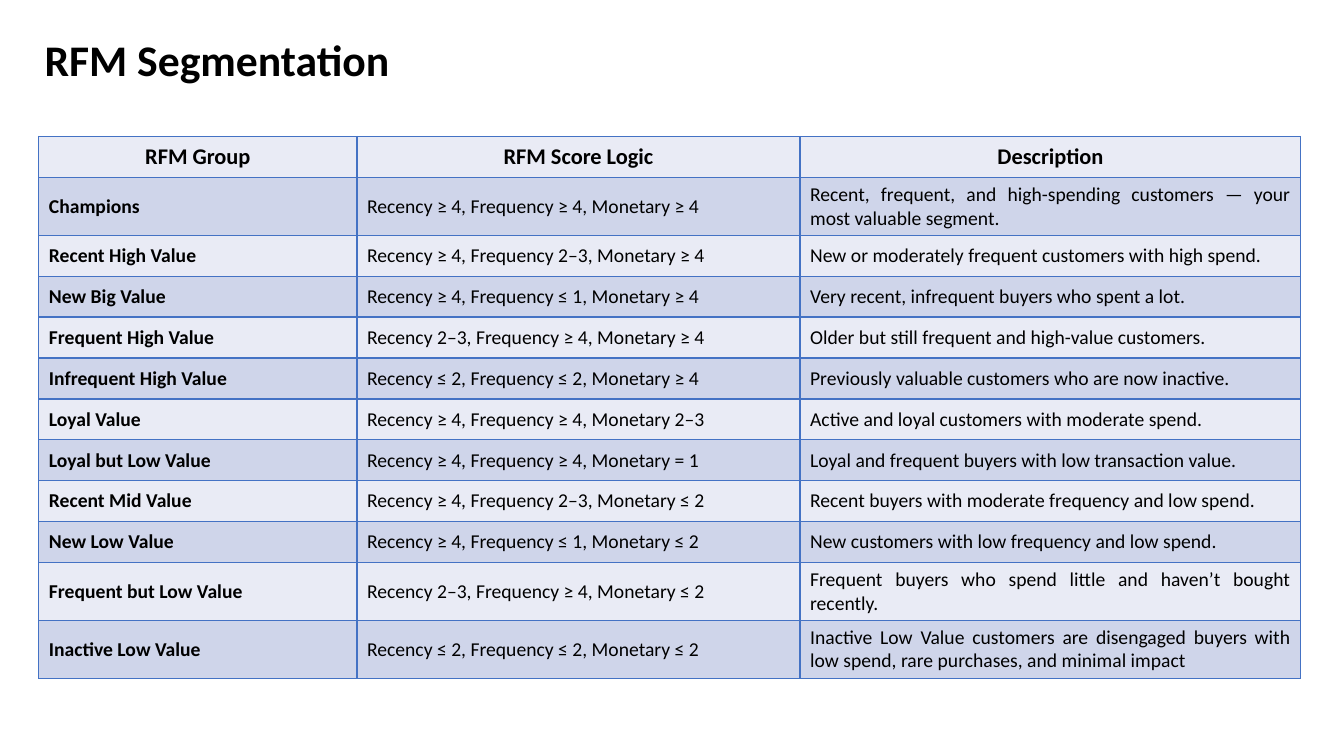
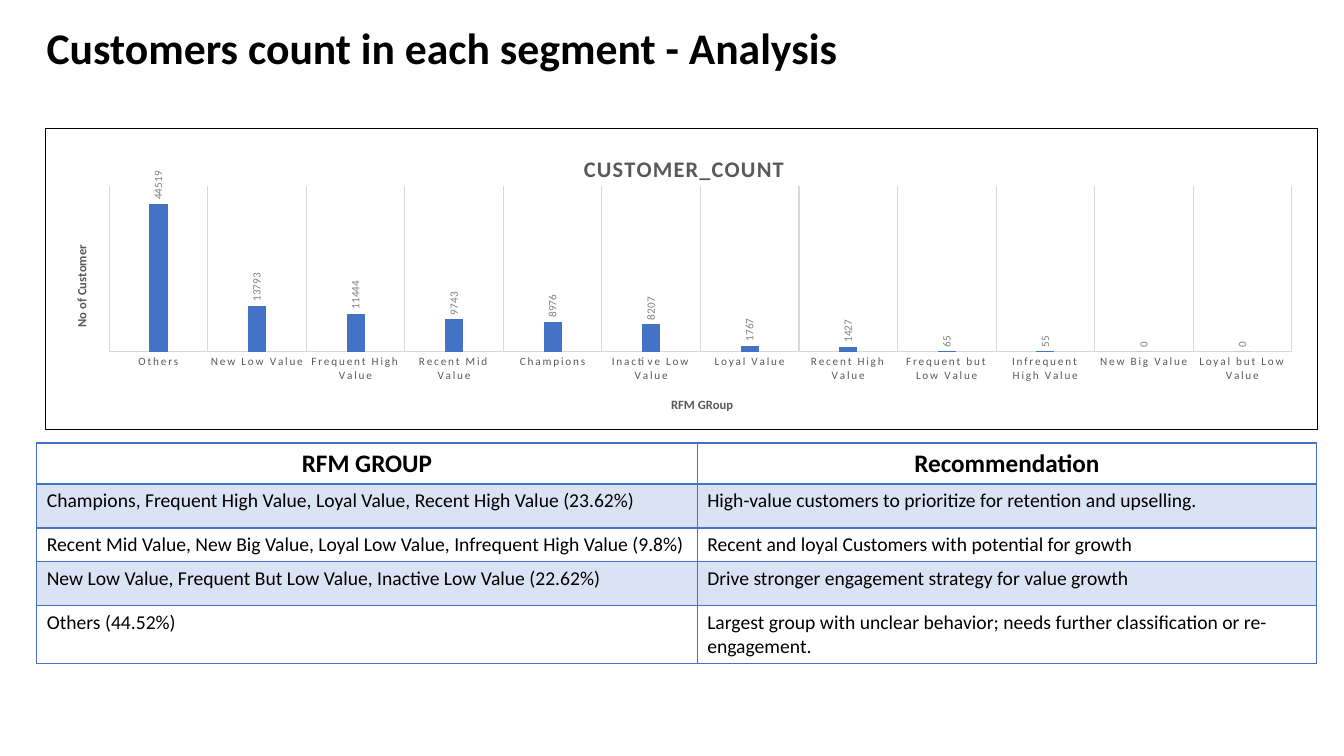
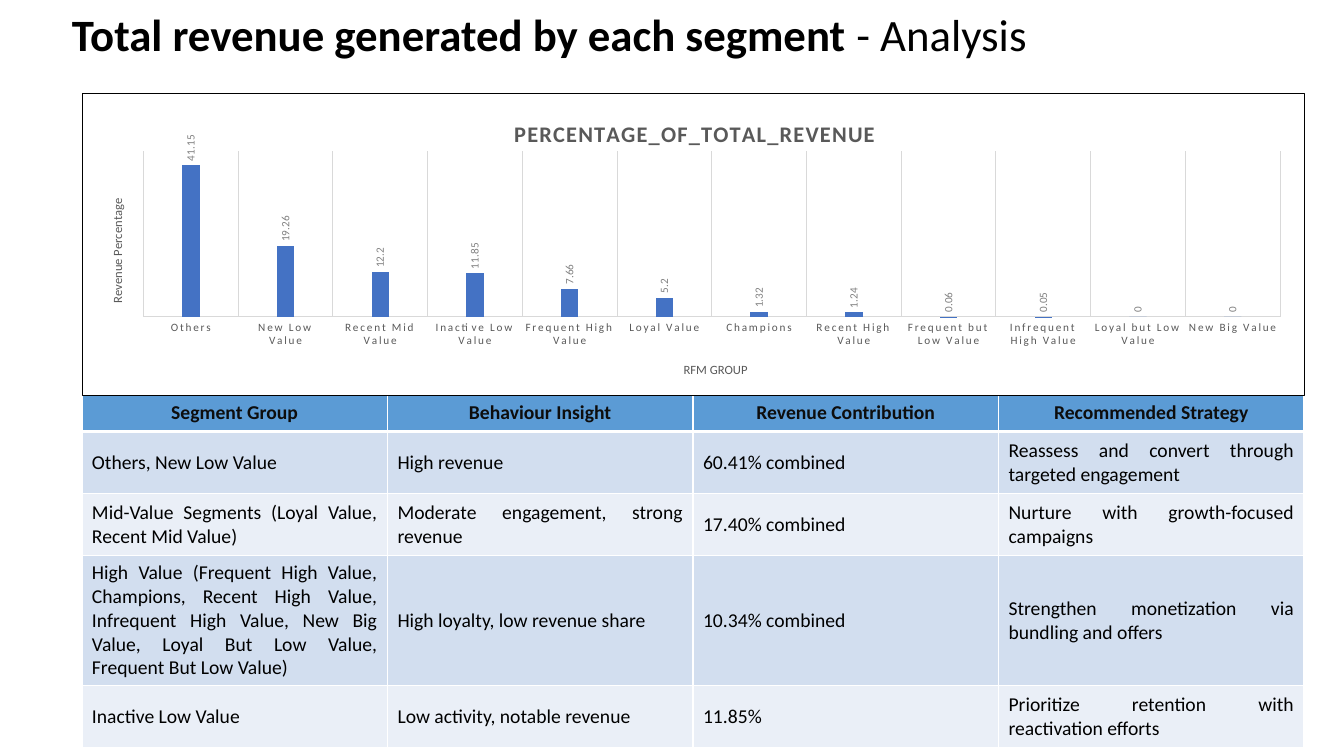
from pptx import Presentation
from pptx.chart.data import CategoryChartData
from pptx.dml.color import RGBColor
from pptx.enum.chart import XL_CHART_TYPE, XL_LABEL_POSITION, XL_TICK_MARK
from pptx.enum.text import MSO_ANCHOR, PP_ALIGN
from pptx.oxml import parse_xml
from pptx.oxml.ns import nsdecls, qn
from pptx.util import Pt

PX = 9525
FONT = "Calibri"
COLUMNS = XL_CHART_TYPE.COLUMN_CLUSTERED
OUTSIDE = XL_LABEL_POSITION.OUTSIDE_END
NO_TICK = XL_TICK_MARK.NONE
TOP, MIDDLE = MSO_ANCHOR.TOP, MSO_ANCHOR.MIDDLE
LEFT, CENTER, JUSTIFY = PP_ALIGN.LEFT, PP_ALIGN.CENTER, PP_ALIGN.JUSTIFY

BLACK = RGBColor(0x00, 0x00, 0x00)
INK = RGBColor(0x0D, 0x0D, 0x0D)
WHITE = RGBColor(0xFF, 0xFF, 0xFF)
BLUE = RGBColor(0x44, 0x72, 0xC4)
SKY = RGBColor(0x5B, 0x9B, 0xD5)
PALE_BLUE = RGBColor(0xDA, 0xE3, 0xF3)
LAVENDER = RGBColor(0xCF, 0xD5, 0xEA)
LIGHT_LAVENDER = RGBColor(0xE9, 0xEB, 0xF5)
MIST = RGBColor(0xD2, 0xDE, 0xEF)
LIGHT_MIST = RGBColor(0xEA, 0xEF, 0xF7)
DARK_GREY = RGBColor(0x59, 0x59, 0x59)
MID_GREY = RGBColor(0x80, 0x80, 0x80)
LIGHT_GREY = RGBColor(0xD9, 0xD9, 0xD9)

PAGES = [
    {
        "title": [("RFM Segmentation", True)],
        "title_at": (33, 29, 1081, 60), "title_size": 31.2,
        "title_spacing": 0.9, "title_anchor": MIDDLE,
        "table": {
            "at": (37, 130), "widths": [303, 422, 477],
            "heights": [39, 55] + [39] * 8 + [55, 55],
            "head_size": 16, "head_color": BLACK, "head_fill": LIGHT_LAVENDER,
            "bands": [LAVENDER, LIGHT_LAVENDER], "border": BLUE, "head_rule": 1,
            "anchor": MIDDLE, "align": JUSTIFY, "bold_columns": 1,
            "rows": [
                ["RFM Group", "RFM Score Logic", "Description"],
                ["Champions", "Recency ≥ 4, Frequency ≥ 4, Monetary ≥ 4",
                 "Recent, frequent, and high-spending customers — your most valuable segment."],
                ["Recent High Value", "Recency ≥ 4, Frequency 2–3, Monetary ≥ 4",
                 "New or moderately frequent customers with high spend."],
                ["New Big Value", "Recency ≥ 4, Frequency ≤ 1, Monetary ≥ 4",
                 "Very recent, infrequent buyers who spent a lot."],
                ["Frequent High Value", "Recency 2–3, Frequency ≥ 4, Monetary ≥ 4",
                 "Older but still frequent and high-value customers."],
                ["Infrequent High Value", "Recency ≤ 2, Frequency ≤ 2, Monetary ≥ 4",
                 "Previously valuable customers who are now inactive."],
                ["Loyal Value", "Recency ≥ 4, Frequency ≥ 4, Monetary 2–3",
                 "Active and loyal customers with moderate spend."],
                ["Loyal but Low Value", "Recency ≥ 4, Frequency ≥ 4, Monetary = 1",
                 "Loyal and frequent buyers with low transaction value."],
                ["Recent Mid Value", "Recency ≥ 4, Frequency 2–3, Monetary ≤ 2",
                 "Recent buyers with moderate frequency and low spend."],
                ["New Low Value", "Recency ≥ 4, Frequency ≤ 1, Monetary ≤ 2",
                 "New customers with low frequency and low spend."],
                ["Frequent but Low Value", "Recency 2–3, Frequency ≥ 4, Monetary ≤ 2",
                 "Frequent buyers who spend little and haven’t bought recently."],
                ["Inactive Low Value", "Recency ≤ 2, Frequency ≤ 2, Monetary ≤ 2",
                 "Inactive Low Value customers are disengaged buyers with low spend, "
                 "rare purchases, and minimal impact"],
            ],
        },
    },
    {
        "title": [("Customers count in each segment - Analysis", True)],
        "title_at": (35, 15, 1104, 65), "title_size": 31.2,
        "title_spacing": 0.9, "title_anchor": MIDDLE,
        "table": {
            "at": (35, 422), "widths": [629, 590], "heights": [39, 42, 32, 42, 55],
            "head_size": 18, "head_color": BLACK, "head_fill": WHITE,
            "bands": [PALE_BLUE, WHITE], "border": BLUE, "head_rule": 2,
            "anchor": TOP, "align": LEFT, "bold_columns": 0,
            "rows": [
                ["RFM GROUP", "Recommendation"],
                ["Champions, Frequent High Value, Loyal Value, Recent High Value (23.62%)",
                 "High-value customers to prioritize for retention and upselling."],
                ["Recent Mid Value, New Big Value, Loyal Low Value, Infrequent High Value (9.8%)",
                 "Recent and loyal Customers with potential for growth"],
                ["New Low Value, Frequent But Low Value, Inactive Low Value (22.62%)",
                 "Drive stronger engagement strategy for value growth"],
                ["Others (44.52%)",
                 "Largest group with unclear behavior; needs further classification or re-engagement."],
            ],
        },
        "chart": {
            "at": (43, 122, 1212, 288), "series": "CUSTOMER_COUNT", "maximum": 50000,
            "title": ("CUSTOMER_COUNT", 0.42), "axis_bold": True,
            "category_title": "RFM GRoup", "value_title": ("No of Customer", 0.38),
            "data": [
                ("Others", 44519), ("New Low Value", 13793), ("Frequent High Value", 11444),
                ("Recent Mid Value", 9743), ("Champions", 8976), ("Inactive Low Value", 8207),
                ("Loyal Value", 1767), ("Recent High Value", 1427),
                ("Frequent but Low Value", 65), ("Infrequent High Value", 55),
                ("New Big Value", 0), ("Loyal but Low Value", 0),
            ],
        },
    },
    {
        "title": [("Total revenue generated by each segment", True), (" - Analysis", False)],
        "title_at": (59, 2, 1010, 61), "title_size": 32,
        "title_spacing": 1.0, "title_anchor": TOP,
        "table": {
            "at": (78, 376), "widths": [291] * 4, "heights": [35, 59, 59, 124, 59],
            "head_size": 14, "head_color": INK, "head_fill": SKY,
            "bands": [MIST, LIGHT_MIST], "border": WHITE, "head_rule": 3,
            "anchor": MIDDLE, "align": JUSTIFY, "bold_columns": 0,
            "rows": [
                ["Segment Group", "Behaviour Insight", "Revenue Contribution",
                 "Recommended Strategy"],
                ["Others, New Low Value", "High revenue", "60.41% combined",
                 "Reassess and convert through targeted engagement"],
                ["Mid-Value Segments (Loyal Value, Recent Mid Value)",
                 "Moderate engagement, strong revenue", "17.40% combined",
                 "Nurture with growth-focused campaigns"],
                ["High Value (Frequent High Value, Champions, Recent High Value, "
                 "Infrequent High Value, New Big Value, Loyal But Low Value, "
                 "Frequent But Low Value)",
                 "High loyalty, low revenue share", "10.34% combined",
                 "Strengthen monetization via bundling and offers"],
                ["Inactive Low Value", "Low activity, notable revenue", "11.85%",
                 "Prioritize retention with reactivation efforts"],
            ],
        },
        "chart": {
            "at": (78, 89, 1165, 288), "series": "Series 1", "maximum": 45,
            "title": ("PERCENTAGE_OF_TOTAL_REVENUE", 0.35), "axis_bold": False,
            "category_title": "RFM GROUP", "value_title": ("Revenue Percentage", 0.34),
            "data": [
                ("Others", 41.15), ("New Low Value", 19.26), ("Recent Mid Value", 12.2),
                ("Inactive Low Value", 11.85), ("Frequent High Value", 7.66),
                ("Loyal Value", 5.2), ("Champions", 1.32), ("Recent High Value", 1.24),
                ("Frequent but Low Value", 0.06), ("Infrequent High Value", 0.05),
                ("Loyal but Low Value", 0), ("New Big Value", 0),
            ],
        },
    },
]


def add_span(para, text, size, color, bold):
    span = para.add_run()
    span.text = text
    span.font.name = FONT
    span.font.size = Pt(size)
    span.font.bold = bold
    span.font.color.rgb = color
    return span


def set_layout(element, index, target, **sizes):
    for old in element.findall(qn("c:layout")):
        element.remove(old)
    inner = f'<c:layoutTarget val="{target}"/>' if target else ""
    modes = '<c:xMode val="edge"/><c:yMode val="edge"/>'
    values = "".join(f'<c:{key} val="{value}"/>' for key, value in sizes.items())
    element.insert(index, parse_xml(
        f'<c:layout {nsdecls("c")}><c:manualLayout>{inner}{modes}{values}'
        '</c:manualLayout></c:layout>'))


deck = Presentation()
deck.slide_width = 1280 * PX
deck.slide_height = 720 * PX

for content in PAGES:
    page = deck.slides.add_slide(deck.slide_layouts[6])

    look = content["table"]
    rows, widths, heights = look["rows"], look["widths"], look["heights"]
    left, top = look["at"]
    frame = page.shapes.add_table(
        len(rows), len(widths), left * PX, top * PX, sum(widths) * PX, sum(heights) * PX)
    table = frame.table
    table.first_row = False
    table.horz_banding = False
    for column, width in zip(table.columns, widths):
        column.width = width * PX
    for row, height in zip(table.rows, heights):
        row.height = height * PX
    for r, texts in enumerate(rows):
        head = r == 0
        for c, text in enumerate(texts):
            cell = table.cell(r, c)
            cell.vertical_anchor = look["anchor"]
            cell.fill.solid()
            cell.fill.fore_color.rgb = look["head_fill"] if head else look["bands"][(r - 1) % 2]
            para = cell.text_frame.paragraphs[0]
            para.alignment = CENTER if head else look["align"]
            add_span(para, text, look["head_size"] if head else 14,
                     look["head_color"] if head else BLACK, head or c < look["bold_columns"])
            rules = {"lnL": 1, "lnR": 1, "lnT": look["head_rule"] if r == 1 else 1,
                     "lnB": look["head_rule"] if head else 1}
            properties = cell._tc.get_or_add_tcPr()
            for i, (side, weight) in enumerate(rules.items()):
                properties.insert(i, parse_xml(
                    f'<a:{side} {nsdecls("a")} w="{Pt(weight)}"><a:solidFill>'
                    f'<a:srgbClr val="{look["border"]}"/></a:solidFill></a:{side}>'))

    box = page.shapes.add_textbox(*(value * PX for value in content["title_at"]))
    box.text_frame.word_wrap = True
    box.text_frame.vertical_anchor = content["title_anchor"]
    para = box.text_frame.paragraphs[0]
    para.line_spacing = content["title_spacing"]
    for text, bold in content["title"]:
        add_span(para, text, content["title_size"], BLACK, bold)

    if "chart" not in content:
        continue
    look = content["chart"]
    data = CategoryChartData()
    data.categories = [name for name, _ in look["data"]]
    data.add_series(look["series"], [value for _, value in look["data"]])
    chart = page.shapes.add_chart(COLUMNS, *(value * PX for value in look["at"]), data).chart
    chart.font.name = FONT
    chart.font.size = Pt(10)
    chart.font.color.rgb = BLACK
    chart.has_legend = False
    chart.element.find(qn("c:chart")).addnext(parse_xml(
        f'<c:spPr {nsdecls("c", "a")}><a:solidFill><a:srgbClr val="{WHITE}"/></a:solidFill>'
        f'<a:ln w="{Pt(0.75)}"><a:solidFill><a:srgbClr val="{BLACK}"/></a:solidFill></a:ln>'
        '</c:spPr>'))
    set_layout(chart.element.find(".//" + qn("c:plotArea")), 0, "inner",
               x=0.05, y=0.19, w=0.93, h=0.55)

    chart.has_title = True
    text, title_left = look["title"]
    span = add_span(chart.chart_title.text_frame.paragraphs[0], text, 16, DARK_GREY, True)
    span.font._element.set("spc", "100")
    set_layout(chart.chart_title.element, 1, None, x=title_left, y=0.07)

    categories, values = chart.category_axis, chart.value_axis
    categories.major_tick_mark = NO_TICK
    categories.has_major_gridlines = True
    for line in (categories.format.line, categories.major_gridlines.format.line):
        line.color.rgb = LIGHT_GREY
        line.width = Pt(0.75)
    values.visible = False
    values.has_major_gridlines = False
    values.minimum_scale = 0
    values.maximum_scale = look["maximum"]

    value_text, value_top = look["value_title"]
    for axis, text, x, y, turn in (
        (categories, look["category_title"], 0.49, 0.88, "0"),
        (values, value_text, 0.02, value_top, "-5400000"),
    ):
        axis.has_title = True
        title = axis.axis_title
        add_span(title.text_frame.paragraphs[0], text, 9, DARK_GREY, look["axis_bold"])
        title.element.find(".//" + qn("a:bodyPr")).set("rot", turn)
        set_layout(title.element, 1, None, x=x, y=y)

    plot = chart.plots[0]
    plot.vary_by_categories = False
    plot.gap_width = 444
    plot.overlap = -90
    bars = plot.series[0]
    bars.format.fill.solid()
    bars.format.fill.fore_color.rgb = BLUE
    labels = bars.data_labels
    labels.show_value = True
    labels.position = OUTSIDE
    for font, color in ((categories.tick_labels.font, DARK_GREY), (labels.font, MID_GREY)):
        font.name = FONT
        font.size = Pt(8)
        font.color.rgb = color
    tick_text = chart.element.find(".//" + qn("c:catAx")).find(qn("c:txPr"))
    tick_text.find(qn("a:bodyPr")).set("rot", "0")
    tick_text.find(".//" + qn("a:defRPr")).set("spc", "120")
    label_body = chart.element.find(".//" + qn("c:dLbls")).find(".//" + qn("a:bodyPr"))
    label_body.set("rot", "-5400000")
    label_body.set("vert", "horz")

deck.save("out.pptx")
